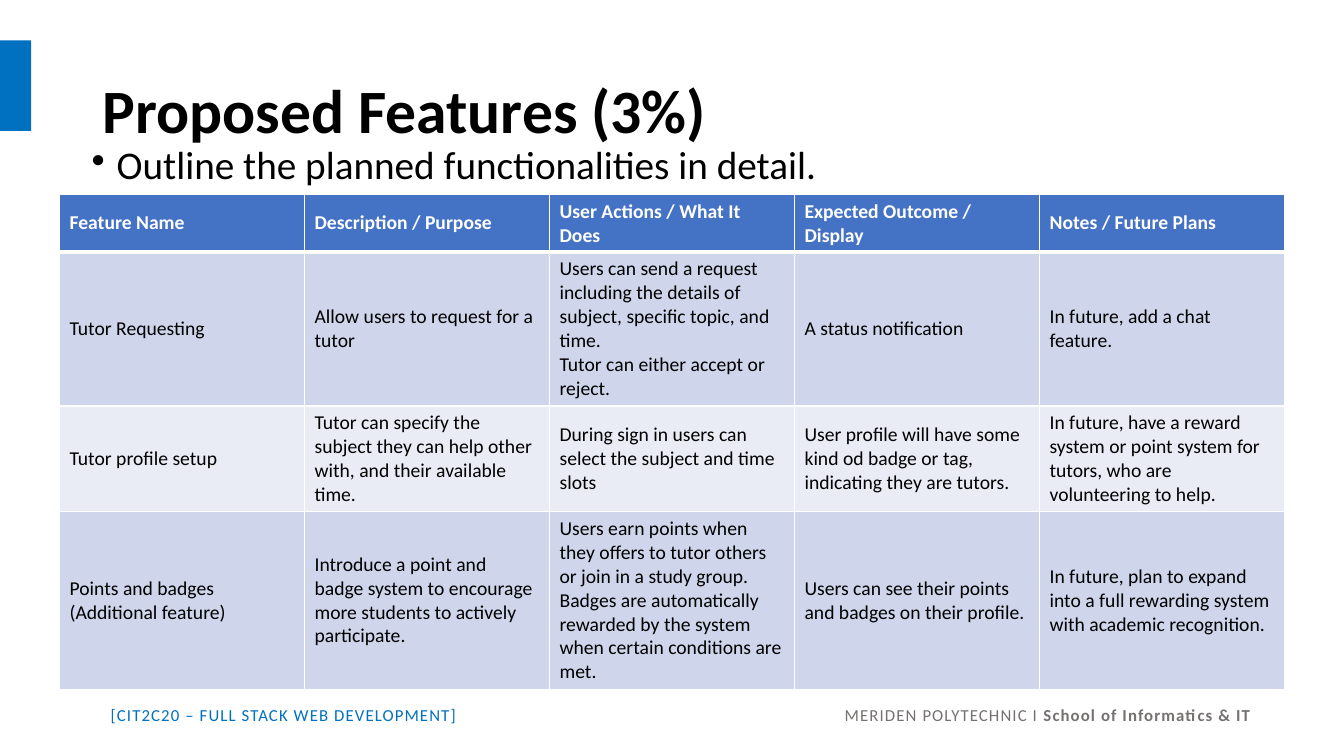
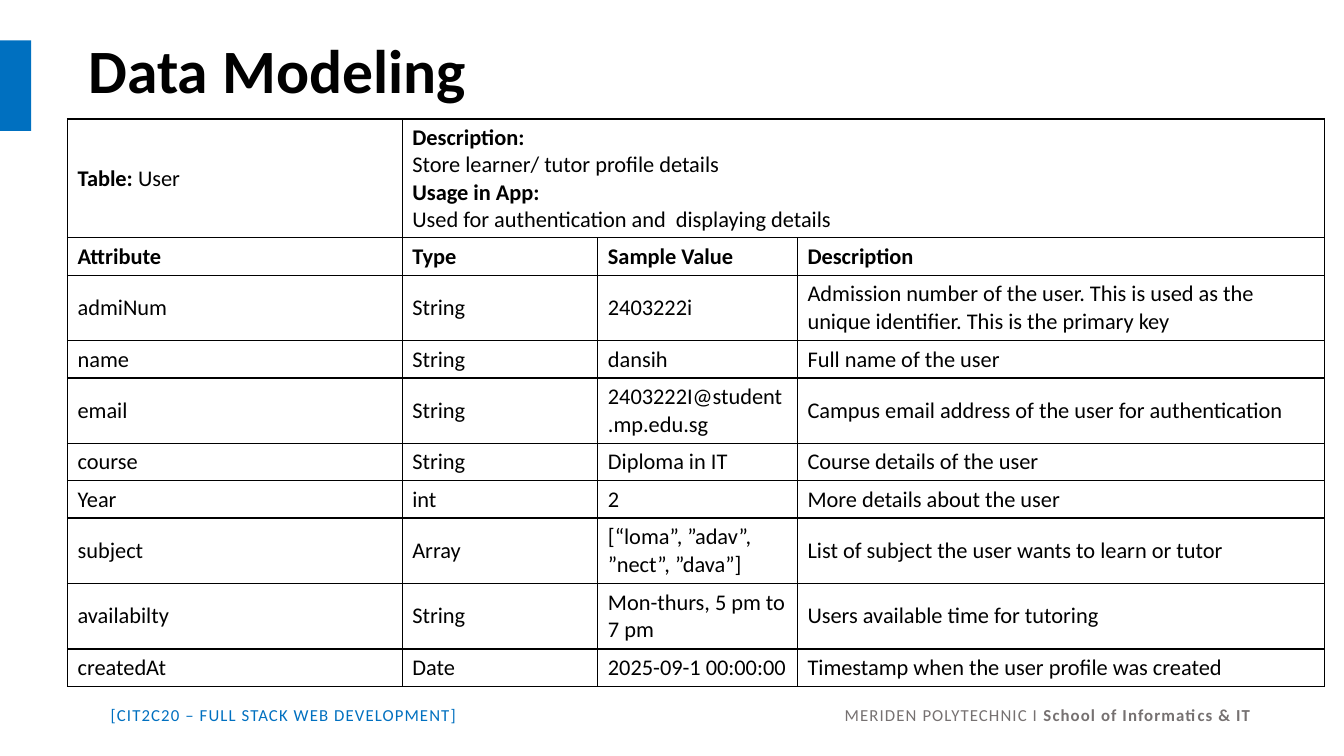
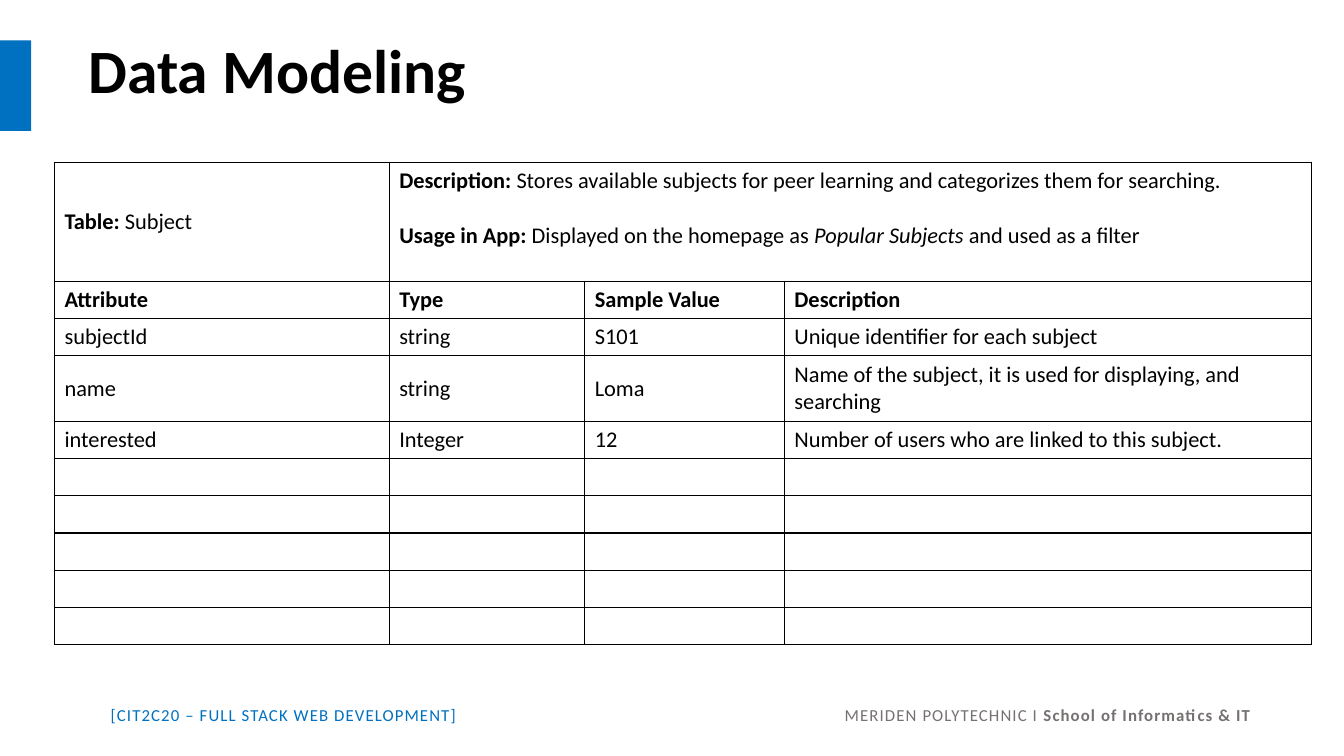
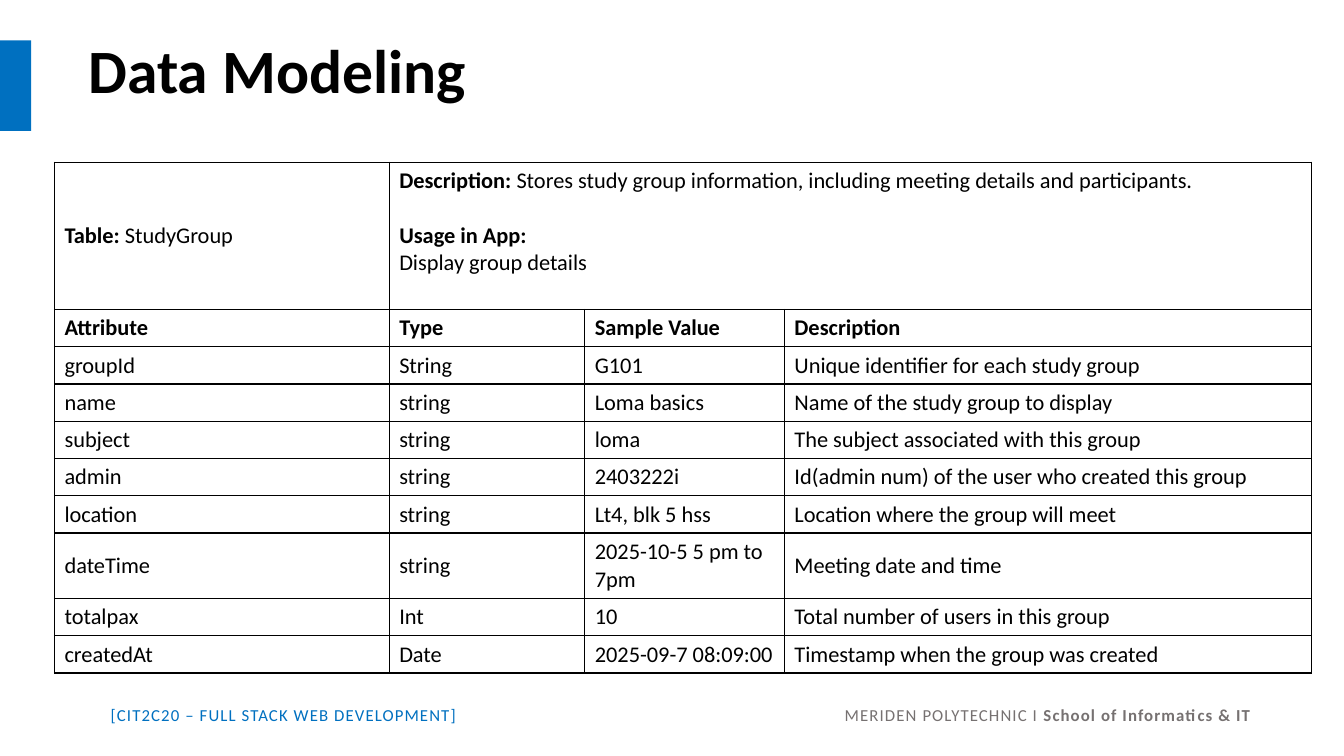
"""Build four project-proposal slides: a feature list and three data models."""
from dataclasses import dataclass
from typing import Optional, Sequence, Union

from pptx import Presentation
from pptx import util as u
from pptx.dml import color
from pptx.enum import shapes, text
from pptx.oxml import ns, xmlchemy


@dataclass(frozen=True)
class Theme:
    font: str = "Calibri"
    accent: str = "0070C0"
    ink: str = "000000"
    paper: str = "FFFFFF"
    muted: str = "767171"
    header: str = "4472C4"
    bands: tuple[str, str] = ("CFD5EA", "E9EBF5")
    title_size: int = 44
    body_size: int = 28
    model_size: int = 16
    feature_size: int = 14
    footer_size: int = 12


@dataclass(frozen=True)
class Run:
    text: str
    bold: Optional[bool] = None
    italic: Optional[bool] = None
    color: Optional[str] = None


@dataclass(frozen=True)
class Para:
    runs: tuple[Run, ...]
    before: float = 0


@dataclass(frozen=True)
class CellStyle:
    fill: str
    ink: str
    size: int
    line: str
    bold: bool = False
    top: float = 1
    bottom: float = 1
    anchor: text.MSO_ANCHOR = text.MSO_ANCHOR.MIDDLE


@dataclass(frozen=True)
class Model:
    name: str
    summary: tuple[Para, ...]
    rows: tuple[tuple[str, ...], ...]
    left: float
    top: float
    summary_height: float
    tall_rows: tuple[int, ...]


Content = Union[str, Sequence[Para]]

THEME = Theme()
BLANK_LINE = 19.5
ROW, TALL_ROW = 0.37, 0.65
MODEL_COLS = (3.32, 1.94, 1.98, 5.23)
MODEL_HEADER = ("Attribute", "Type", "Sample Value", "Description")


def para(*runs: Run, before: float = 0) -> Para:
    return Para(runs, before)


FEATURE_HEIGHTS = (0.56, 1.53, 1.05, 1.76)
FEATURES: tuple[tuple[Content, ...], ...] = (
    ("Feature Name", "Description / Purpose", "User Actions / What It Does",
     "Expected Outcome / Display", "Notes / Future Plans"),
    ("Tutor Requesting", "Allow users to request for a tutor",
     (para(Run("Users can send a request including the details of subject, specific topic, and time.")),
      para(Run("Tutor can either accept or reject."))),
     "A status notification", "In future, add a chat feature."),
    ("Tutor profile setup",
     "Tutor can specify the subject they can help other with, and their available time.",
     "During sign in users can select the subject and time slots",
     "User profile will have some kind od badge or tag, indicating they are tutors.",
     "In future, have a reward system or point system for tutors, who are volunteering to help."),
    ("Points and badges (Additional feature)",
     "Introduce a point and badge system to encourage more students to actively participate.",
     (para(Run("Users earn points when they offers to tutor others or join in a study group.")),
      para(Run("Badges are automatically rewarded by the system when certain conditions are met."))),
     "Users can see their points and badges on their profile.",
     "In future, plan to expand into a full rewarding system with academic recognition."),
)

MODELS = (
    Model("User",
          (para(Run("Description:", True)),
           para(Run("Store learner/ tutor profile details")),
           para(Run("Usage in App:", True)),
           para(Run("Used for authentication and  displaying details"))),
          (("admiNum", "String", "2403222i",
            "Admission number of the user. This is used as the unique identifier. This is the primary key"),
           ("name", "String", "dansih", "Full name of the user"),
           ("email", "String", "2403222I@student.mp.edu.sg",
            "Campus email address of the user for authentication"),
           ("course", "String", "Diploma in IT", "Course details of the user"),
           ("Year", "int", "2", "More details about the user"),
           ("subject", "Array", "[“loma”, ”adav”, ”nect”, ”dava”]",
            "List of subject the user wants to learn or tutor"),
           ("availabilty", "String", "Mon-thurs, 5 pm to 7 pm", "Users available time for tutoring"),
           ("createdAt", "Date", "2025-09-1 00:00:00", "Timestamp when the user profile was created")),
          0.67, 1.18, 1.18, (0, 2, 5, 6)),
    Model("Subject",
          (para(Run("Description: ", True),
                Run("Stores available subjects for peer learning and categorizes them for searching.")),
           para(Run("Usage in App:", True), Run(" Displayed on the homepage as "),
                Run("Popular Subjects", italic=True), Run(" and used as a filter"),
                before=BLANK_LINE)),
          (("subjectId", "string", "S101", "Unique identifier for each subject"),
           ("name", "string", "Loma", "Name of the subject, it is used for displaying, and searching"),
           ("interested", "Integer", "12", "Number of users who are linked to this subject."))
          + (("",) * 4,) * 5,
          0.54, 1.61, 1.18, (1,)),
    Model("StudyGroup",
          (para(Run("Description: ", True),
                Run("Stores study group information, including meeting details and participants.")),
           para(Run("Usage in App:", True), before=BLANK_LINE),
           para(Run("Display group details"))),
          (("groupId", "String", "G101", "Unique identifier for each study group"),
           ("name", "string", "Loma basics", "Name of the study group to display"),
           ("subject", "string", "loma", "The subject associated with this group"),
           ("admin", "string", "2403222i", "Id(admin num) of the user who created this group"),
           ("location", "string", "Lt4, blk 5 hss", "Location where the group will meet"),
           ("dateTime", "string", "2025-10-5 5 pm to 7pm", "Meeting date and time"),
           ("totalpax", "Int", "10", "Total number of users in this group"),
           ("createdAt", "Date", "2025-09-7 08:09:00", "Timestamp when the group was created")),
          0.54, 1.61, 1.46, (5,)),
)


def rgb(value: str) -> color.RGBColor:
    return color.RGBColor.from_string(value)


def sub(parent, tag: str, **attrs: str) -> xmlchemy.BaseOxmlElement:
    el = parent.makeelement(ns.qn(tag), attrs)
    parent.append(el)
    return el


def set_font(p, size: int, ink: str, bold: bool = False) -> None:
    p.font.name = THEME.font
    p.font.size = u.Pt(size)
    p.font.bold = bold
    p.font.color.rgb = rgb(ink)


def write(tf, content: Content, size: int, ink: str, bold: bool = False) -> None:
    if isinstance(content, str):
        content = (para(Run(content)) if content else para(),)
    for i, item in enumerate(content):
        p = tf.add_paragraph() if i else tf.paragraphs[0]
        if item.before:
            p.space_before = u.Pt(item.before)
        set_font(p, size, ink, bold)
        for run in item.runs:
            r = p.add_run()
            r.text = run.text
            if run.bold is not None:
                r.font.bold = run.bold
            if run.italic is not None:
                r.font.italic = run.italic
            if run.color:
                r.font.color.rgb = rgb(run.color)


def add_text(s, left: float, top: float, width: float, height: float,
             content: Content, size: int, ink: str, bold: bool = False):
    sp = s.shapes.add_textbox(*map(u.Inches, (left, top, width, height)))
    sp.text_frame.word_wrap = True
    write(sp.text_frame, content, size, ink, bold)
    return sp.text_frame


def add_footer(s) -> None:
    runs = (Run("[CIT2C20 – FULL STACK WEB DEVELOPMENT]\t"),
            Run("MERIDEN POLYTECHNIC I ", color=THEME.muted),
            Run("School of Informatics & IT", True, color=THEME.muted))
    tf = add_text(s, 1, 6.94, 11.63, 0.3, (Para(runs),), THEME.footer_size, THEME.accent)
    p = tf.paragraphs[0]
    for r in p.runs:
        r._r.get_or_add_rPr().set("spc", "80")
    tabs = p._p.get_or_add_pPr().makeelement(ns.qn("a:tabLst"), {})
    sub(tabs, "a:tab", pos=str(u.Inches(7.28)), algn="l")
    p._p.pPr.find(ns.qn("a:defRPr")).addprevious(tabs)


def new_slide(prs, title: str, left: float = 0.78, top: float = 0):
    s = prs.slides.add_slide(prs.slide_layouts[6])
    add_footer(s)
    sp = s.shapes.add_shape(shapes.MSO_SHAPE.RECTANGLE,
                            *map(u.Inches, (0, 0.4, 0.31, 0.9)))
    sp.shadow.inherit = False
    sp.fill.solid()
    sp.fill.fore_color.rgb = rgb(THEME.accent)
    sp.line.fill.background()
    tf = add_text(s, left, top, 11.5, 1.45, title, THEME.title_size, THEME.ink, True)
    tf.vertical_anchor = text.MSO_ANCHOR.MIDDLE
    tf.paragraphs[0].line_spacing = 0.9
    return s


def add_bullet(s, content: str) -> None:
    tf = add_text(s, 0.81, 1.4, 11.5, 0.53, content, THEME.body_size, THEME.ink)
    p = tf.paragraphs[0]
    p.alignment = text.PP_ALIGN.JUSTIFY
    p.line_spacing = 0.9
    pPr = p._p.get_or_add_pPr()
    pPr.set("marL", str(u.Inches(0.25)))
    pPr.set("indent", str(u.Inches(-0.25)))
    bullet = pPr.makeelement(ns.qn("a:buChar"), {"char": "•"})
    pPr.find(ns.qn("a:defRPr")).addprevious(bullet)


def add_grid(s, left: float, top: float, cols: Sequence[float], heights: Sequence[float]):
    frame = s.shapes.add_table(len(heights), len(cols),
                               *map(u.Inches, (left, top, sum(cols), sum(heights))))
    table = frame.table
    for col, width in zip(table.columns, cols):
        col.width = u.Inches(width)
    for row, height in zip(table.rows, heights):
        row.height = u.Inches(height)
    return table


def fill_cell(cell, content: Content, style: CellStyle) -> None:
    write(cell.text_frame, content, style.size, style.ink, style.bold)
    cell.vertical_anchor = style.anchor
    tcPr = cell._tc.get_or_add_tcPr()
    for side, width in (("L", 1), ("R", 1), ("T", style.top), ("B", style.bottom)):
        ln = sub(tcPr, f"a:ln{side}", w=str(u.Pt(width)))
        sub(sub(ln, "a:solidFill"), "a:srgbClr", val=style.line)
    cell.fill.solid()
    cell.fill.fore_color.rgb = rgb(style.fill)


def add_features(prs) -> None:
    s = new_slide(prs, "Proposed Features (3%)", 0.92, 0.4)
    add_bullet(s, "Outline the planned functionalities in detail.")
    table = add_grid(s, 0.59, 1.93, (2.43,) * 5, FEATURE_HEIGHTS)
    for i, row in enumerate(FEATURES):
        if i:
            style = CellStyle(THEME.bands[(i - 1) % 2], THEME.ink, THEME.feature_size,
                              THEME.paper, top=3 if i == 1 else 1)
        else:
            style = CellStyle(THEME.header, THEME.paper, THEME.feature_size,
                              THEME.paper, bold=True, bottom=3)
        for j, content in enumerate(row):
            fill_cell(table.cell(i, j), content, style)


def add_model(prs, model: Model) -> None:
    s = new_slide(prs, "Data Modeling")
    heights = [model.summary_height, ROW]
    heights += [TALL_ROW if i in model.tall_rows else ROW for i in range(len(model.rows))]
    table = add_grid(s, model.left, model.top, MODEL_COLS, heights)
    base = (THEME.paper, THEME.ink, THEME.model_size, THEME.ink)
    plain, bold = CellStyle(*base), CellStyle(*base, bold=True)
    summary = CellStyle(*base, anchor=text.MSO_ANCHOR.TOP)
    table.cell(0, 1).merge(table.cell(0, 3))
    fill_cell(table.cell(0, 0), (para(Run("Table: ", True), Run(model.name)),), plain)
    fill_cell(table.cell(0, 1), model.summary, summary)
    for j in (2, 3):
        fill_cell(table.cell(0, j), "", plain)
    for i, row in enumerate((MODEL_HEADER,) + model.rows, 1):
        for j, content in enumerate(row):
            fill_cell(table.cell(i, j), content, bold if i == 1 else plain)


def main() -> None:
    prs = Presentation()
    prs.slide_width, prs.slide_height = u.Inches(13.33), u.Inches(7.5)
    add_features(prs)
    for model in MODELS:
        add_model(prs, model)
    prs.save("out.pptx")


if __name__ == "__main__":
    main()
